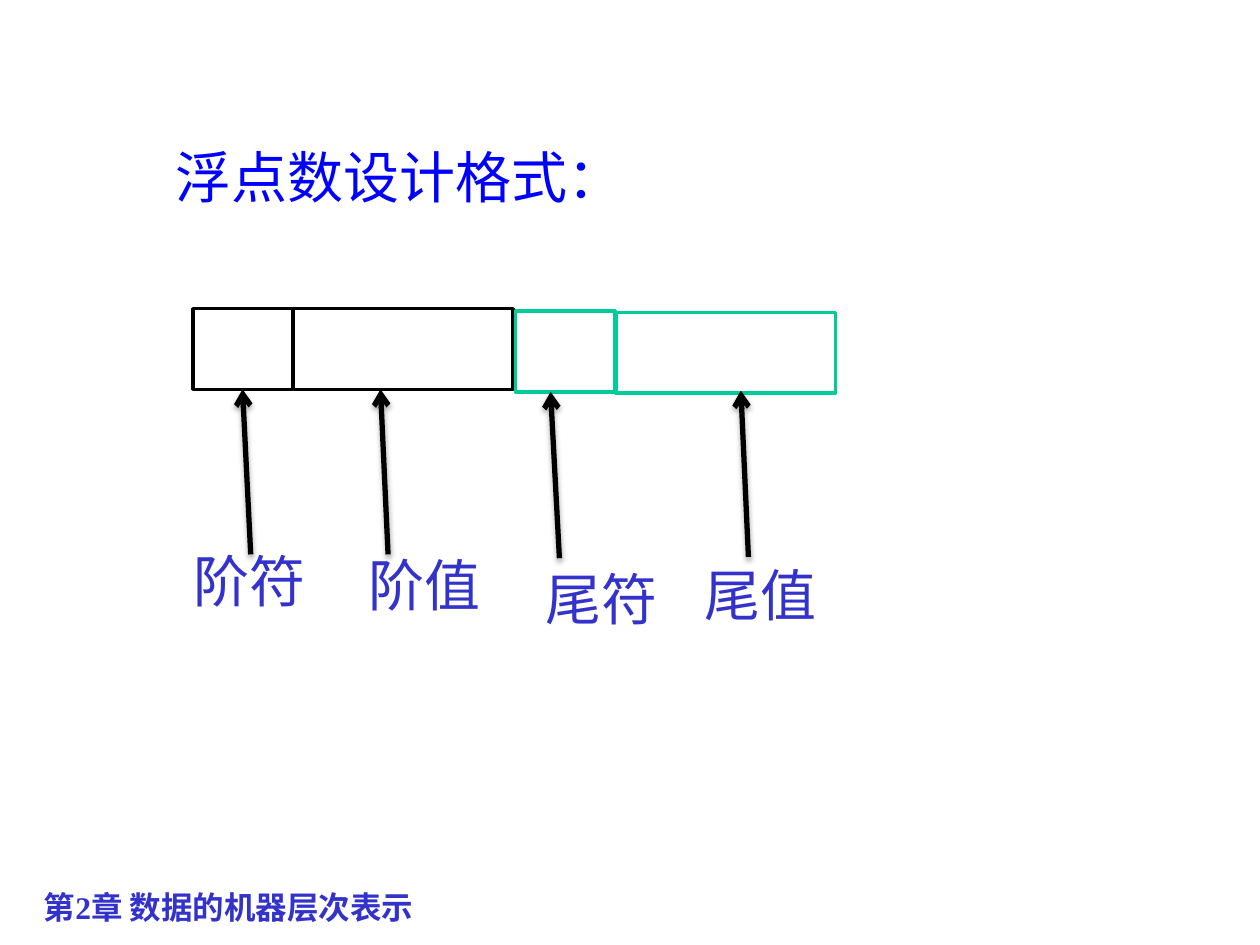
from dataclasses import dataclass

from lxml.etree import SubElement
from pptx import Presentation
from pptx.dml.color import RGBColor as RGB
from pptx.enum.lang import MSO_LANGUAGE_ID as LANG
from pptx.enum.shapes import MSO_CONNECTOR as LINK, MSO_SHAPE as SHAPE
from pptx.enum.text import MSO_ANCHOR as ANCHOR, PP_ALIGN as ALIGN
from pptx.oxml import parse_xml
from pptx.oxml.ns import nsdecls, qn
from pptx.util import Pt

PX = 9144  # 100 px to the inch


@dataclass(frozen=True)
class Theme:
    title: RGB = RGB(0x00, 0x00, 0xFF)
    label: RGB = RGB(0x33, 0x33, 0xCC)
    black: RGB = RGB(0x00, 0x00, 0x00)
    green: RGB = RGB(0x00, 0xCC, 0x99)
    white: RGB = RGB(0xFF, 0xFF, 0xFF)
    large: int = 32
    small: int = 18
    cjk: str = "Noto Sans CJK JP"
    sans: str = "Arial"
    serif: str = "Times New Roman"


theme = Theme()


def write(box, area, text, size, color, face, bold=False):
    """Place a text shape and format its single line."""
    box.left, box.top, box.width, box.height = [v * PX for v in area]
    frame = box.text_frame
    frame.text = text
    frame.word_wrap = True
    frame.vertical_anchor = ANCHOR.TOP
    line = frame.paragraphs[0]
    line.alignment = ALIGN.LEFT
    font = line.runs[0].font
    font.size, font.bold, font.name = Pt(size), bold, face
    font.color.rgb = color
    font.language_id = LANG.SIMPLIFIED_CHINESE
    SubElement(font._element, qn("a:ea"), typeface=theme.cjk)


def point(link):
    """Give a connector an open arrowhead and a soft shadow below it."""
    props = link._element.spPr
    SubElement(props.find(qn("a:ln")), qn("a:tailEnd"), type="arrow")
    props.append(parse_xml(
        f'<a:effectLst {nsdecls("a")}>'
        '<a:outerShdw blurRad="39370" dist="22860" dir="5400000" rotWithShape="0">'
        '<a:srgbClr val="000000"><a:alpha val="35000"/></a:srgbClr>'
        '</a:outerShdw></a:effectLst>'))


deck = Presentation()
deck.slide_width, deck.slide_height = 1000 * PX, 750 * PX
slide = deck.slides.add_slide(deck.slide_layouts[5])
shapes = slide.shapes

write(shapes.title, (129, 108, 591, 64), "浮点数设计格式：",
      theme.large, theme.title, theme.cjk)
write(shapes.add_textbox(0, 0, 0, 0), (25, 700, 583, 25),
      "第2章 数据的机器层次表示", theme.small, theme.label, theme.serif, True)

# Fields: left, top, width, outline
fields = [
    (153, 245, 79, theme.black),
    (233, 245, 174, theme.black),
    (409, 247, 79, theme.green),
    (489, 248, 174, theme.green),
]
cells = []
for left, top, width, color in fields:
    cell = shapes.add_shape(SHAPE.FLOWCHART_PROCESS,
                            left * PX, top * PX, width * PX, 64 * PX)
    cell.shadow.inherit = False
    cell.fill.solid()
    cell.fill.fore_color.rgb = theme.white
    cell.line.color.rgb = color
    cell.line.width = Pt(2)
    cells.append(cell)

# Arrows: start x, start y, tip x, tip y
arrows = [
    (199, 440, 193, 309),
    (308, 440, 302, 309),
    (444, 443, 437, 311),
    (594, 442, 588, 310),
]
links = []
for ends in arrows:
    link = shapes.add_connector(LINK.STRAIGHT, *[v * PX for v in ends])
    link.line.color.rgb = theme.black
    link.line.width = Pt(3)
    point(link)
    links.append(link)
links[0].end_connect(cells[0], 2)

labels = [
    ("阶符", 144, 429),
    ("阶值", 283, 432),
    ("尾符", 423, 443),
    ("尾值", 549, 440),
]
for text, left, top in labels:
    write(shapes.add_textbox(0, 0, 0, 0), (left, top, 126, 64), text,
          theme.large, theme.label, theme.sans)

deck.save("out.pptx")
